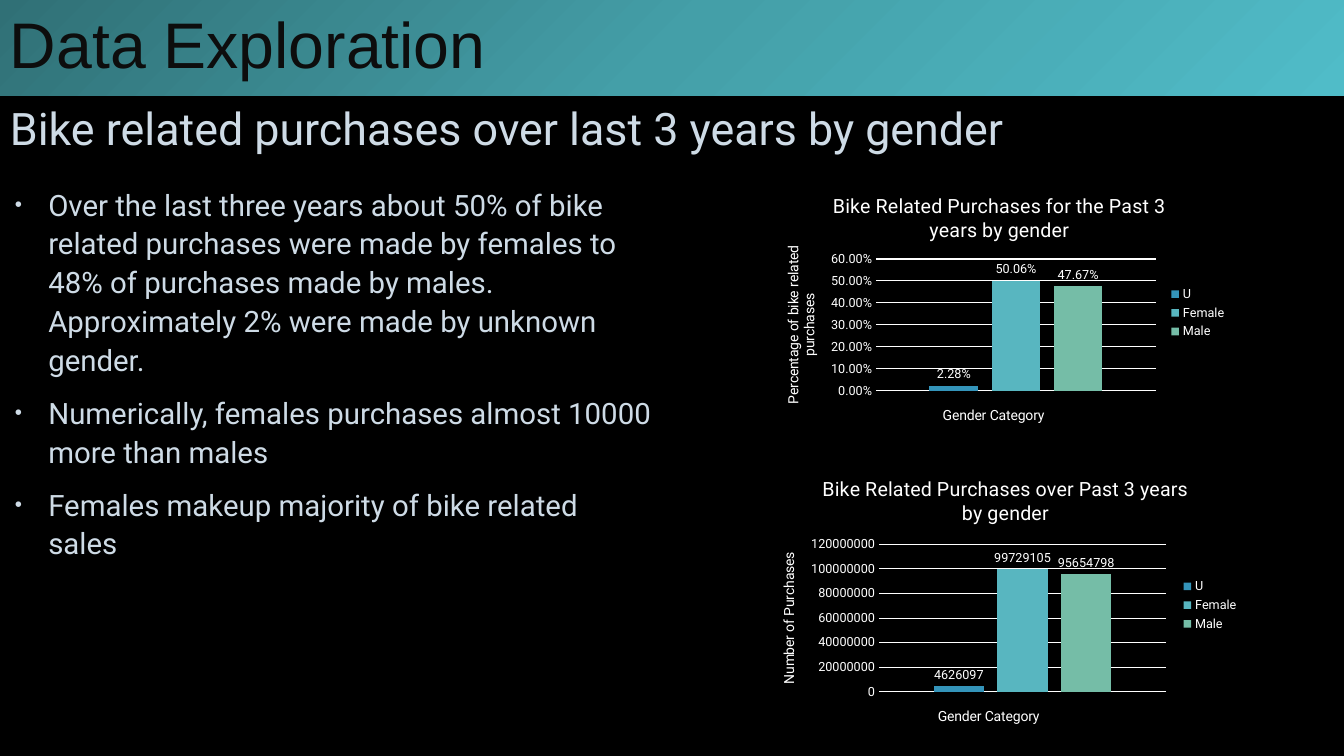
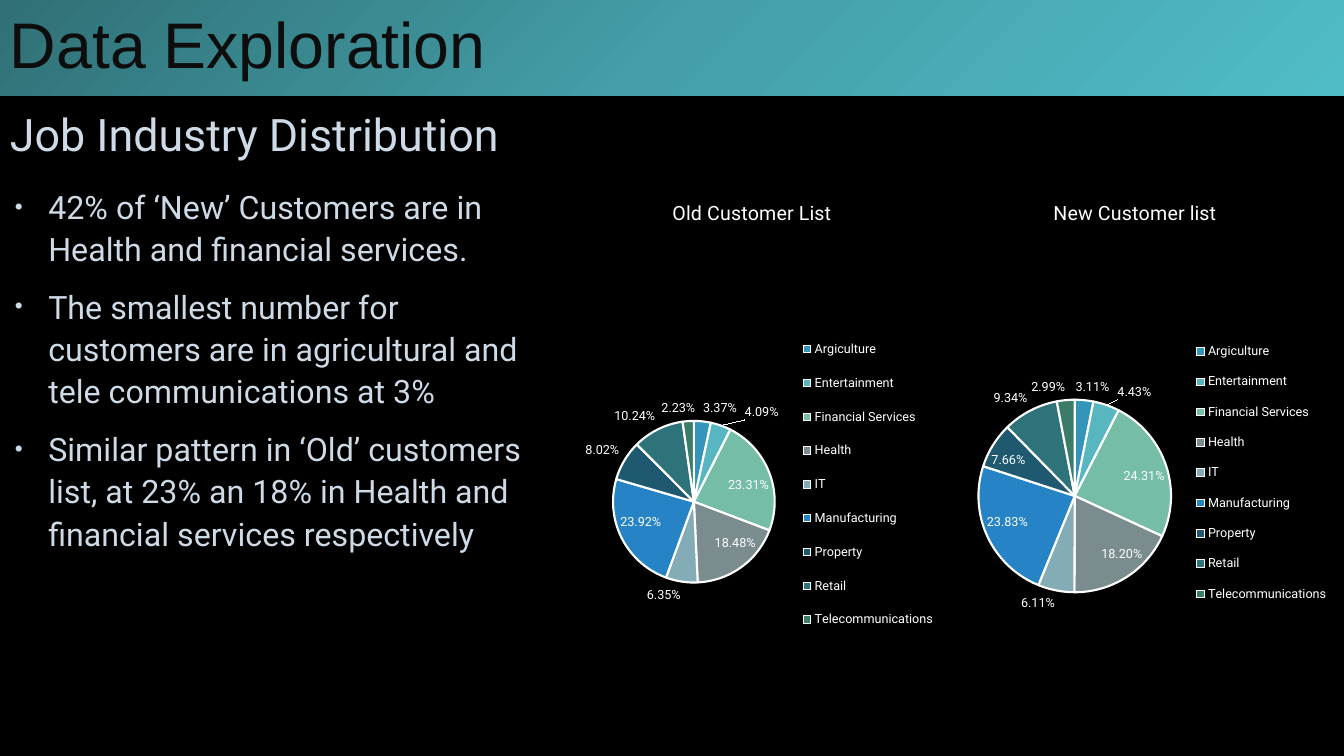
from lxml import etree
from pptx import Presentation
from pptx.chart.data import CategoryChartData
from pptx.dml.color import RGBColor
from pptx.enum.chart import (XL_CHART_TYPE, XL_LABEL_POSITION,
                             XL_LEGEND_POSITION, XL_TICK_MARK)
from pptx.enum.shapes import MSO_SHAPE
from pptx.enum.text import MSO_ANCHOR, PP_ALIGN
from pptx.oxml import parse_xml
from pptx.oxml.ns import nsdecls, qn
from pptx.util import Pt

BLACK = RGBColor(0x00, 0x00, 0x00)
WHITE = RGBColor(0xFF, 0xFF, 0xFF)
INK = RGBColor(0x0D, 0x0D, 0x0D)
PALE = RGBColor(0xCE, 0xDB, 0xE6)
BAND_STOPS = [(0, RGBColor(0x30, 0x70, 0x76)),
              (50, RGBColor(0x44, 0x9F, 0xA8)),
              (100, RGBColor(0x50, 0xBC, 0xC8))]
PALETTE = [RGBColor.from_string(c) for c in (
    "3494BA", "58B6C0", "75BDA7", "7A8C8E", "84ACB6",
    "2683C6", "1F5970", "2E737A", "3B7C68")]
FONT = "Roboto"
WIDTH, HEIGHT, BAND_H = 960, 540, 68.4
BODY_TOP = 127.4

INDUSTRIES = ["Argiculture", "Entertainment", "Financial Services", "Health", "IT",
              "Manufacturing", "Property", "Retail", "Telecommunications"]


# Text
def write(tf, text, size, color=WHITE, font=FONT, align=None, line=None,
          before=None, after=None, bullet=False):
    p = tf.paragraphs[0]
    if p.runs:
        p = tf.add_paragraph()
    p.alignment, p.line_spacing = align, line
    if before is not None:
        p.space_before = Pt(before)
    if after is not None:
        p.space_after = Pt(after)
    if bullet:
        pPr = p._p.get_or_add_pPr()
        pPr.set("marL", str(Pt(27.4)))
        pPr.set("indent", str(Pt(-23.8)))
        clr = etree.SubElement(pPr, qn("a:buClr"))
        etree.SubElement(clr, qn("a:srgbClr"), val=str(color))
        etree.SubElement(pPr, qn("a:buSzPct"), val="70000")
        etree.SubElement(pPr, qn("a:buFont"), typeface="Arial")
        etree.SubElement(pPr, qn("a:buChar"), char="•")
    r = p.add_run()
    r.text = text
    r.font.size, r.font.name, r.font.bold = Pt(size), font, False
    r.font.color.rgb = color


def text_box(slide, box, anchor=MSO_ANCHOR.TOP):
    tf = slide.shapes.add_textbox(*map(Pt, box)).text_frame
    tf.word_wrap = True
    tf.vertical_anchor = anchor
    return tf


# Regions of a slide
def add_band(slide, box, text):
    sp = slide.shapes.add_shape(MSO_SHAPE.RECTANGLE, *map(Pt, box))
    sp.shadow.inherit = False
    sp.line.fill.background()
    sp.fill.gradient()
    stops = "".join(f'<a:gs pos="{pos * 1000}"><a:srgbClr val="{c}"/></a:gs>'
                    for pos, c in BAND_STOPS)
    old = sp.element.xpath("./p:spPr/a:gradFill")[0]
    old.getparent().replace(old, parse_xml(
        f'<a:gradFill {nsdecls("a")} rotWithShape="1"><a:gsLst>{stops}</a:gsLst>'
        '<a:path path="circle"><a:fillToRect r="100000" b="100000"/></a:path>'
        '</a:gradFill>'))
    tf = sp.text_frame
    tf.vertical_anchor = MSO_ANCHOR.MIDDLE
    write(tf, text, 46, INK, "Arial", align=PP_ALIGN.LEFT, line=0.9)


def add_heading(slide, box, text):
    write(text_box(slide, box, MSO_ANCHOR.MIDDLE), text, 32, PALE, line=0.9)


def add_bullets(slide, box, items, size):
    tf = text_box(slide, box)
    for item in items:
        write(tf, item, size, PALE, line=1.1, before=0.2 * size, after=6, bullet=True)


# Charts
def set_layout(parent, index, frame, inner=False):
    """Place a chart part at fractions (x, y, w, h) of the chart."""
    for old in parent.findall(qn("c:layout")):
        parent.remove(old)
    layout = etree.Element(qn("c:layout"))
    manual = etree.SubElement(layout, qn("c:manualLayout"))
    if inner:
        etree.SubElement(manual, qn("c:layoutTarget"), val="inner")
    for mode in ("xMode", "yMode"):
        etree.SubElement(manual, qn(f"c:{mode}"), val="edge")
    for key, value in zip("xywh", frame):
        etree.SubElement(manual, qn(f"c:{key}"), val=str(value))
    parent.insert(index, layout)


def add_chart(slide, box, kind, cats, series, title, plot_frame, fmt, position):
    data = CategoryChartData(number_format=fmt)
    data.categories = cats
    for name, values in series:
        data.add_series(name, values)
    chart = slide.shapes.add_chart(kind, *map(Pt, box), data).chart
    chart.font.size, chart.font.name = Pt(10), FONT
    chart.font.color.rgb = WHITE
    chart.has_title = True
    write(chart.chart_title.text_frame, title, 14)
    chart.chart_title.include_in_layout = False
    chart.has_legend = True
    legend = chart.legend
    legend.position = XL_LEGEND_POSITION.RIGHT
    legend.include_in_layout = False
    plot = chart.plots[0]
    plot.has_data_labels = True
    labels = plot.data_labels
    labels.show_value = True
    labels.position = position
    labels.number_format, labels.number_format_is_linked = fmt, False
    for font in (legend.font, labels.font):
        font.size, font.name = Pt(9), FONT
        font.color.rgb = WHITE
    set_layout(chart.element.xpath(".//c:plotArea")[0], 0, plot_frame, inner=True)
    return chart


def add_gender_columns(slide, box, title, axis_title, values, fmt, plot_frame):
    chart = add_chart(slide, box, XL_CHART_TYPE.COLUMN_CLUSTERED, ["1"],
                      [(n, [v]) for n, v in zip(("U", "Female", "Male"), values)],
                      title, plot_frame, fmt, XL_LABEL_POSITION.OUTSIDE_END)
    plot = chart.plots[0]
    plot.vary_by_categories = False
    plot.gap_width, plot.overlap = 219, -27
    for ser, color in zip(plot.series, PALETTE):
        ser.format.fill.solid()
        ser.format.fill.fore_color.rgb = color
    cat, val = chart.category_axis, chart.value_axis
    write(cat.axis_title.text_frame, "Gender Category", 10)
    write(val.axis_title.text_frame, axis_title, 10)
    turned = chart.element.xpath(".//c:valAx/c:title//a:bodyPr")[0]
    turned.set("rot", "-5400000")
    turned.set("vert", "horz")
    cat.visible = False
    val.major_tick_mark = val.minor_tick_mark = XL_TICK_MARK.NONE
    val.format.line.fill.background()
    val.major_gridlines.format.line.width = Pt(0.75)
    val.major_gridlines.format.line.color.rgb = WHITE
    val.tick_labels.number_format = fmt
    val.tick_labels.number_format_is_linked = False
    font = val.tick_labels.font
    font.size, font.name = Pt(9), FONT
    font.color.rgb = WHITE


def add_industry_pie(slide, box, title, values, plot_frame, legend_frame):
    chart = add_chart(slide, box, XL_CHART_TYPE.PIE, INDUSTRIES, [("Series 1", values)],
                      title, plot_frame, "0.00%", XL_LABEL_POSITION.BEST_FIT)
    set_layout(chart.element.xpath(".//c:legend")[0], 1, legend_frame)
    plot = chart.plots[0]
    plot.vary_by_categories = True
    for i, color in enumerate(PALETTE):
        fmt = plot.series[0].points[i].format
        fmt.fill.solid()
        fmt.fill.fore_color.rgb = color
        fmt.line.width = Pt(1.5)
        fmt.line.color.rgb = WHITE


# Slides
def add_slide(prs, heading, heading_h, bullets, body_w, body_h, size):
    slide = prs.slides.add_slide(prs.slide_layouts[6])
    slide.background.fill.solid()
    slide.background.fill.fore_color.rgb = BLACK
    add_heading(slide, (0, BAND_H, WIDTH, heading_h), heading)
    add_bullets(slide, (0, BODY_TOP, body_w, body_h), bullets, size)
    add_band(slide, (0, 0, WIDTH, BAND_H), "Data Exploration")
    return slide


def gender_slide(prs):
    slide = add_slide(
        prs, "Bike related purchases over last 3 years by gender", 49.7,
        ["Over the last three years about 50% of bike related purchases were made by "
         "females to 48% of purchases made by males. Approximately 2% were made by "
         "unknown gender.",
         "Numerically, females purchases almost 10000 more than males",
         "Females makeup majority of bike related sales"], 472.4, 280.8, 21)
    add_gender_columns(slide, (544.3, BODY_TOP, 339.1, 192.2),
                       "Bike Related Purchases for the Past 3 years by gender",
                       "Percentage of bike related purchases",
                       (0.0228, 0.5006, 0.4767), "0.00%", (0.24, 0.3, 0.59, 0.49))
    add_gender_columns(slide, (544.3, 329, 347.8, 206.6),
                       "Bike Related Purchases over Past 3 years by gender",
                       "Number of Purchases",
                       (4626097, 99729105, 95654798), "General", (0.24, 0.29, 0.59, 0.51))


def industry_slide(prs):
    slide = add_slide(
        prs, "Job Industry Distribution", 59,
        ["42% of ‘New’ Customers are in Health and financial services.",
         "The smallest number for customers are in agricultural and tele "
         "communications at 3%",
         "Similar pattern in ‘Old’ customers list, at 23% an 18% in Health and "
         "financial services respectively"], 382.3, 285.1, 23)
    chart_h = HEIGHT - BODY_TOP
    add_industry_pie(slide, (667.4, BODY_TOP, 286.6, chart_h), "New Customer list",
                     (0.0311, 0.0443, 0.2431, 0.182, 0.0611, 0.2383, 0.0766, 0.0934, 0.0299),
                     (0.11, 0.38, 0.48, 0.34), (0.64, 0.26, 0.35, 0.5))
    add_industry_pie(slide, (398.9, BODY_TOP, 276.5, chart_h), "Old Customer List",
                     (0.0337, 0.0409, 0.2331, 0.1848, 0.0635, 0.2392, 0.0802, 0.1024, 0.0223),
                     (0.14, 0.42, 0.42, 0.28), (0.61, 0.25, 0.38, 0.56))


def main():
    prs = Presentation()
    prs.slide_width, prs.slide_height = Pt(WIDTH), Pt(HEIGHT)
    gender_slide(prs)
    industry_slide(prs)
    prs.save("out.pptx")


if __name__ == "__main__":
    main()
